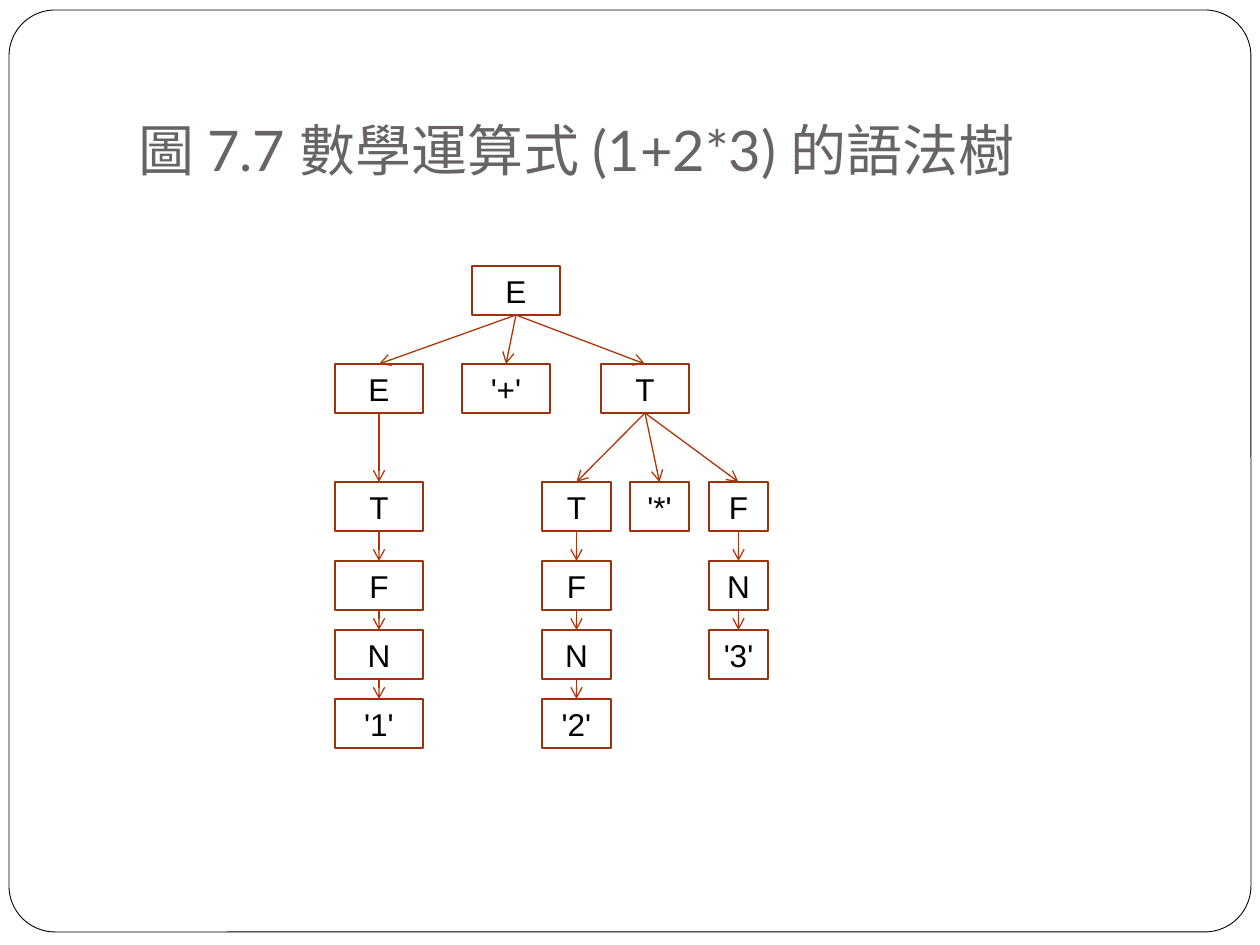
import pptx
import pptx.util
import pptx.dml.color
import pptx.enum.shapes
import pptx.enum.text
import pptx.oxml.ns
from lxml import etree

# Content
TITLE = "圖 7.7 數學運算式 (1+2*3) 的語法樹"
ROW_TOPS = [266, 364, 482, 561, 630, 699]
BOX_HEIGHT = 49
# node: (label, row, left, width, parent)
NODES = {
    "root": ("E", 0, 472, 88, None),
    "sum_left": ("E", 1, 335, 88, "root"),
    "plus": ("'+'", 1, 462, 88, "root"),
    "sum_right": ("T", 1, 601, 88, "root"),
    "term_1": ("T", 2, 335, 88, "sum_left"),
    "term_2": ("T", 2, 542, 69, "sum_right"),
    "times": ("'*'", 2, 630, 59, "sum_right"),
    "factor_3": ("F", 2, 709, 59, "sum_right"),
    "factor_1": ("F", 3, 335, 88, "term_1"),
    "factor_2": ("F", 3, 542, 69, "term_2"),
    "number_3": ("N", 3, 709, 59, "factor_3"),
    "number_1": ("N", 4, 335, 88, "factor_1"),
    "number_2": ("N", 4, 542, 69, "factor_2"),
    "digit_3": ("'3'", 4, 709, 59, "number_3"),
    "digit_1": ("'1'", 5, 335, 88, "number_1"),
    "digit_2": ("'2'", 5, 542, 69, "number_2"),
}
COLORS = {"white": "FFFFFF", "black": "000000", "title": "696464",
          "box": "9B320E", "arrow": "AF3408"}
BOTTOM_SITE, TOP_SITE = 2, 0


def px(length):
    return pptx.util.Emu(round(length * 914400 / 126))


def color(name):
    return pptx.dml.color.RGBColor.from_string(COLORS[name])


def set_line(line, name, width):
    line.color.rgb = color(name)
    line.width = pptx.util.Pt(width)


def write(shape, text, *, size, font, fill, align, anchor, bottom=0.05):
    frame = shape.text_frame
    frame.word_wrap = True
    frame.auto_size = pptx.enum.text.MSO_AUTO_SIZE.NONE
    frame.vertical_anchor = anchor
    frame.margin_left = frame.margin_right = pptx.util.Inches(0.1)
    frame.margin_top = pptx.util.Inches(0.05)
    frame.margin_bottom = pptx.util.Inches(bottom)
    paragraph = frame.paragraphs[0]
    paragraph.alignment = align
    run = paragraph.add_run()
    run.text = text
    run.font.size = pptx.util.Pt(size)
    run.font.name = font
    run.font.color.rgb = color(fill)


def add_box(shapes, kind, left, top, width, height):
    box = shapes.add_shape(kind, px(left), px(top), px(width), px(height))
    box.shadow.inherit = False
    return box


def add_arrow(shapes, parent, child):
    arrow = shapes.add_connector(
        pptx.enum.shapes.MSO_CONNECTOR.STRAIGHT,
        parent.left + parent.width // 2, parent.top + parent.height,
        child.left + child.width // 2, child.top)
    arrow.begin_connect(parent, BOTTOM_SITE)
    arrow.end_connect(child, TOP_SITE)
    set_line(arrow.line, "arrow", 0.75)
    qn = pptx.oxml.ns.qn
    etree.SubElement(arrow.line._get_or_add_ln(), qn("a:tailEnd"), type="arrow")
    etree.SubElement(arrow.element.spPr, qn("a:effectLst"))


def main():
    presentation = pptx.Presentation()
    presentation.slide_width, presentation.slide_height = px(1260), px(945)
    slide = presentation.slides.add_slide(presentation.slide_layouts[5])
    shape_kind = pptx.enum.shapes.MSO_SHAPE
    anchors = pptx.enum.text.MSO_ANCHOR
    aligns = pptx.enum.text.PP_ALIGN

    # Title
    title = slide.shapes.title
    title.left, title.top, title.width, title.height = map(px, (126, 38, 1071, 157))
    write(title, TITLE, size=32, font="Lato", fill="title",
          align=aligns.LEFT, anchor=anchors.BOTTOM, bottom=0.1)

    # Rounded page border, behind the title
    border = add_box(slide.shapes, shape_kind.ROUNDED_RECTANGLE, 9, 10, 1242, 922)
    border.adjustments[0] = 0.05
    border.fill.solid()
    border.fill.fore_color.rgb = color("white")
    set_line(border.line, "black", 0.5)
    title.element.addprevious(border.element)

    # Syntax tree: boxes, then arrows from parent to child
    tree = slide.shapes.add_group_shape().shapes
    boxes = {}
    for node, (label, row, left, width, _) in NODES.items():
        box = add_box(tree, shape_kind.RECTANGLE, left, ROW_TOPS[row], width, BOX_HEIGHT)
        box.fill.background()
        set_line(box.line, "box", 1)
        write(box, label, size=18, font="Arial", fill="black",
              align=aligns.CENTER, anchor=anchors.MIDDLE)
        boxes[node] = box
    for node, (*_, parent) in NODES.items():
        if parent:
            add_arrow(tree, boxes[parent], boxes[node])

    presentation.save("out.pptx")


if __name__ == "__main__":
    main()
